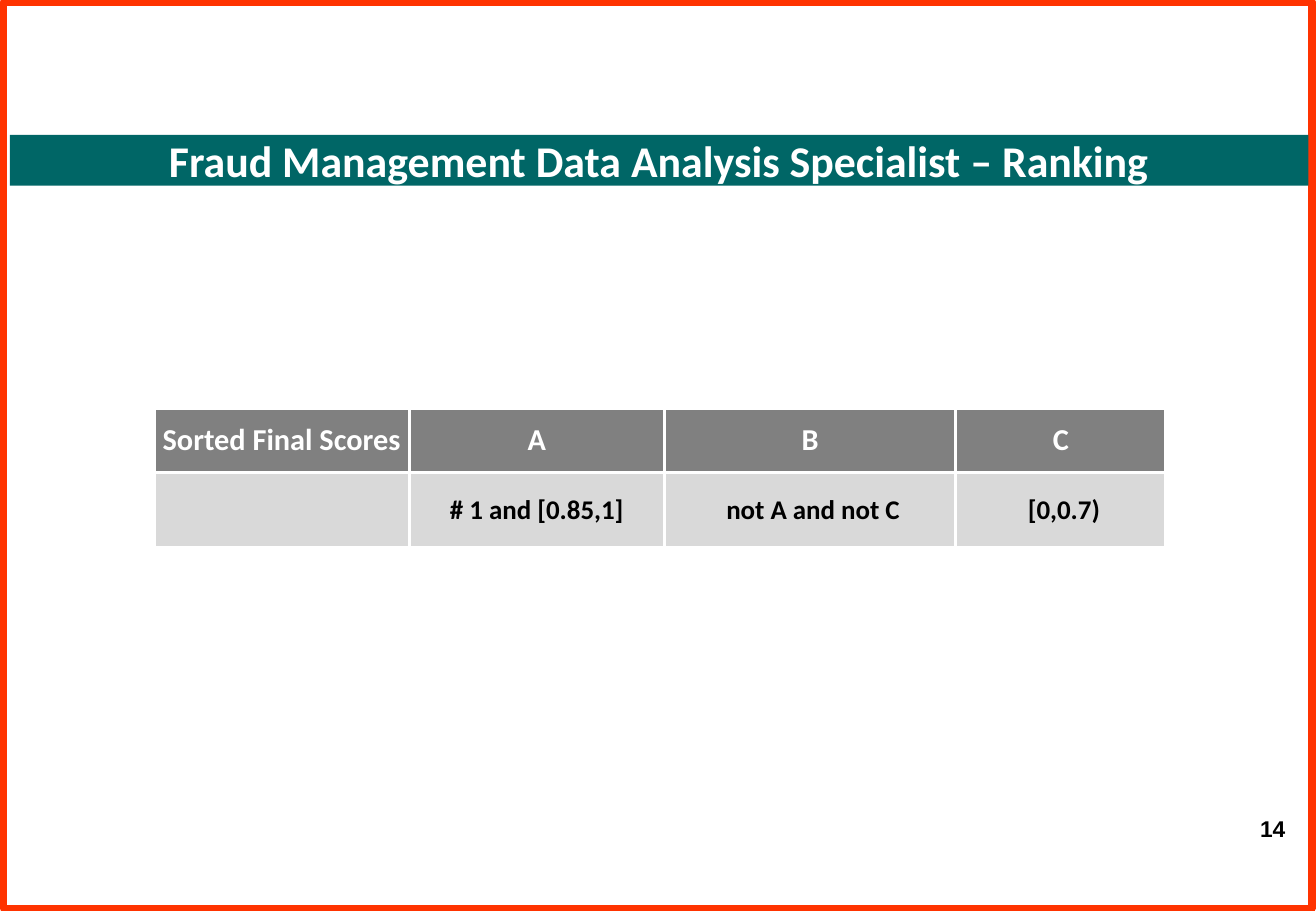
import dataclasses
import typing

import lxml.etree
import pptx
import pptx.dml.color
import pptx.enum.shapes
import pptx.enum.text
import pptx.oxml.ns
import pptx.util

Pt = pptx.util.Pt
Align = pptx.enum.text.PP_ALIGN
Anchor = pptx.enum.text.MSO_ANCHOR


@dataclasses.dataclass(frozen=True)
class Theme:
    white: str = "FFFFFF"
    black: str = "000000"
    red: str = "FF3300"
    teal: str = "006666"
    gray: str = "808080"
    pale: str = "D9D9D9"
    sans: str = "Calibri"
    plain: str = "Arial"
    title: float = 26
    head: float = 18
    body: float = 16
    page: float = 13.5
    rule: float = 2.25
    frame: float = 4.5


THEME = Theme()


class Box(typing.NamedTuple):
    left: float
    top: float
    width: float
    height: float

    def points(self) -> list[pptx.util.Length]:
        return [Pt(side) for side in self]


class Style(typing.NamedTuple):
    size: float
    color: str
    font: str = THEME.sans
    align: Align = Align.CENTER


class Panel(typing.NamedTuple):
    box: Box
    fill: str | None = None
    line: str | None = None


class Label(typing.NamedTuple):
    box: Box
    text: str
    style: Style
    frame: dict[str, typing.Any]


class Row(typing.NamedTuple):
    height: float
    fill: str
    style: Style
    texts: tuple[str, ...]
    indents: tuple[float, ...]


PANELS = (
    Panel(Box(2.2, 1.4, 775.4, 537.1), line=THEME.red),
    Panel(Box(5.8, 79.9, 769.7, 30.2), fill=THEME.teal),
)
LABELS = (
    Label(Box(738.7, 479.5, 30.2, 23), "14",
          Style(THEME.page, THEME.black, THEME.plain, Align.RIGHT),
          {"word_wrap": False}),
    Label(Box(26.6, 79.9, 728.6, 29.5),
          "Fraud Management Data Analysis Specialist – Ranking",
          Style(THEME.title, THEME.white),
          {"word_wrap": True, "vertical_anchor": Anchor.MIDDLE}),
)
SCORES = Box(91.4, 242, 599.8, 82.8)
WIDTHS = (151.2, 151.2, 172.8, 124.6)
ROWS = (
    Row(38.2, THEME.gray, Style(THEME.head, THEME.white),
        ("Sorted Final Scores", "A", "B", "C"), (0, 0, 0, 0)),
    Row(44.6, THEME.pale, Style(THEME.body, THEME.black),
        ("", "# 1 and [0.85,1]", "not A and not C", "[0,0.7)"),
        (0, 0, 3.6, 3.6)),
)
CELL = {"vertical_anchor": Anchor.MIDDLE, "margin_left": 0,
        "margin_right": 0, "margin_top": 0, "margin_bottom": 0}


def paint(fill: typing.Any, color: str | None) -> None:
    """Make a fill solid, or empty when there is no color."""
    if color is None:
        fill.background()
    else:
        fill.solid()
        fill.fore_color.rgb = pptx.dml.color.RGBColor.from_string(color)


def format(target: typing.Any, values: dict[str, typing.Any]) -> None:
    for name, value in values.items():
        setattr(target, name, value)


def write(frame: typing.Any, text: str, style: Style) -> None:
    line = frame.paragraphs[0]
    line.alignment = style.align
    run = line.add_run()
    run.text = text
    format(run.font, {"name": style.font, "size": Pt(style.size), "bold": True})
    paint(run.font.fill, style.color)


def draw_panel(shapes: typing.Any, panel: Panel) -> None:
    kind = pptx.enum.shapes.MSO_SHAPE.RECTANGLE
    shape = shapes.add_shape(kind, *panel.box.points())
    shape.shadow.inherit = False
    paint(shape.fill, panel.fill)
    paint(shape.line.fill, panel.line)
    if panel.line:
        shape.line.width = Pt(THEME.frame)


def draw_label(shapes: typing.Any, label: Label) -> None:
    frame = shapes.add_textbox(*label.box.points()).text_frame
    format(frame, label.frame)
    write(frame, label.text, label.style)


def rule_cell(cell: typing.Any) -> None:
    """Put the white rule on all four sides; call before the cell is filled."""
    name = pptx.oxml.ns.qn
    props = cell._tc.get_or_add_tcPr()
    for side in "LRTB":
        line = lxml.etree.SubElement(props, name(f"a:ln{side}"),
                                     w=str(Pt(THEME.rule)))
        fill = lxml.etree.SubElement(line, name("a:solidFill"))
        lxml.etree.SubElement(fill, name("a:srgbClr"), val=THEME.white)


def draw_scores(shapes: typing.Any) -> None:
    table = shapes.add_table(len(ROWS), len(WIDTHS), *SCORES.points()).table
    format(table, {"first_row": False, "horz_banding": False})
    for column, width in zip(table.columns, WIDTHS):
        column.width = Pt(width)
    for line, row in zip(table.rows, ROWS):
        line.height = Pt(row.height)
        for cell, text, indent in zip(line.cells, row.texts, row.indents):
            rule_cell(cell)
            paint(cell.fill, row.fill)
            format(cell, CELL)
            if text:
                write(cell.text_frame, text, row.style)
            if indent:
                props = cell.text_frame.paragraphs[0]._p.get_or_add_pPr()
                props.set("marL", str(Pt(indent)))


def main() -> None:
    deck = pptx.Presentation()
    format(deck, {"slide_width": Pt(780), "slide_height": Pt(540)})
    slide = deck.slides.add_slide(deck.slide_layouts[6])
    paint(slide.background.fill, THEME.white)
    for panel in PANELS:
        draw_panel(slide.shapes, panel)
    for label in LABELS:
        draw_label(slide.shapes, label)
    draw_scores(slide.shapes)
    deck.save("out.pptx")


if __name__ == "__main__":
    main()
